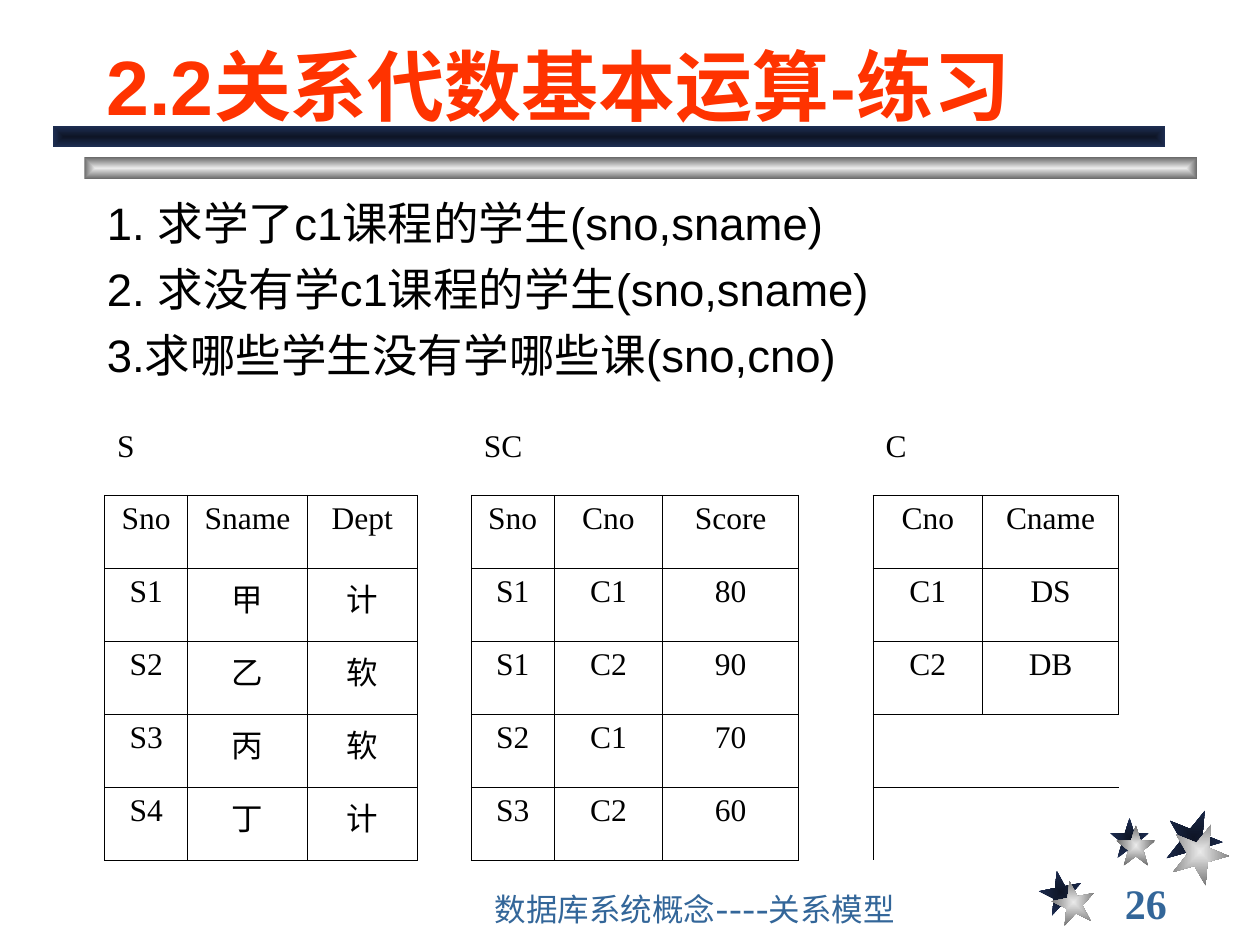
from lxml import etree
from pptx import Presentation
from pptx import util as u
from pptx.dml.color import RGBColor
from pptx.enum import shapes, text
from pptx.oxml import ns

NAVY = ("0E1526", "1E2E53")
SILVER = ("EAEAEA", "6C6C6C")
STARS = [(8.25, 6.91, 0.34, 0.34, 349), (8.81, 6.49, 0.31, 0.32, 0), (9.25, 6.42, 0.45, 0.46, 22)]
SHADED_STARS = [(8.35, 6.99, 0.34, 0.34, 349), (8.86, 6.55, 0.31, 0.32, 0), (9.3, 6.53, 0.45, 0.46, 22)]
COLUMNS = [0.66, 0.95, 0.87, 0.43, 0.66, 0.86, 1.08, 0.59, 0.87, 1.08]
ROWS = [
    ["S", "", "", "", "SC", "", "", "", "C", ""],
    ["Sno", "Sname", "Dept", "", "Sno", "Cno", "Score", "", "Cno", "Cname"],
    ["S1", "甲", "计", "", "S1", "C1", "80", "", "C1", "DS"],
    ["S2", "乙", "软", "", "S1", "C2", "90", "", "C2", "DB"],
    ["S3", "丙", "软", "", "S2", "C1", "70", "", "", ""],
    ["S4", "丁", "计", "", "S3", "C2", "60", "", "", ""],
]
SIDES = {"lnL": (0, -1), "lnR": (0, 1), "lnT": (-1, 0), "lnB": (1, 0)}
NO_STYLE = "{2D5ABB26-0587-4C30-8999-92F81FD0307C}"


def rgb(value):
    """Turn a hex string into a colour."""
    return RGBColor.from_string(value)


def add_gradient_shape(s, kind, box, colors, rotation=0):
    """Add a borderless shape shaded from its centre outwards."""
    sp = s.shapes.add_shape(kind, *map(u.Inches, box))
    sp.rotation = rotation
    sp.shadow.inherit = False
    sp.line.fill.background()
    sp.fill.gradient()
    for stop, color in zip(sp.fill.gradient_stops, colors):
        stop.color.rgb = rgb(color)
    lin = sp.element.spPr.find(".//" + ns.qn("a:lin"))
    grad = lin.getparent()
    grad.remove(lin)
    shade = etree.SubElement(grad, ns.qn("a:path"), path="rect")
    etree.SubElement(shade, ns.qn("a:fillToRect"), l="50000", t="50000", r="50000", b="50000")


def format_font(p, size, font, color, bold=False):
    """Format every run of a paragraph."""
    for r in p.runs:
        r.font.size = u.Pt(size)
        r.font.name = font
        r.font.bold = bold
        r.font.color.rgb = rgb(color)


def hang(p):
    """Give a paragraph a hanging indent."""
    pPr = p._p.get_or_add_pPr()
    pPr.set("marL", str(u.Inches(0.38)))
    pPr.set("indent", str(-u.Inches(0.38)))


def add_text(s, box, content, size, font, color, anchor, bold=False, wrap=True):
    """Add a text box and return its paragraphs."""
    tf = s.shapes.add_textbox(*map(u.Inches, box)).text_frame
    tf.word_wrap = wrap
    tf.vertical_anchor = anchor
    tf.text = content
    for p in tf.paragraphs:
        format_font(p, size, font, color, bold)
    return tf.paragraphs


def add_border(cell, side):
    """Draw a thin black line on one side of a cell."""
    ln = etree.SubElement(cell._tc.get_or_add_tcPr(), ns.qn("a:" + side), w=str(u.Pt(0.45)))
    fill = etree.SubElement(ln, ns.qn("a:solidFill"))
    etree.SubElement(fill, ns.qn("a:srgbClr"), val="000000")


def is_boxed(row, col):
    """Tell whether a grid position holds a bordered entry."""
    return 0 < row < len(ROWS) and 0 <= col < len(COLUMNS) and bool(ROWS[row][col])


def add_relations(s):
    """Add the three relations as one table with gap columns."""
    frame = s.shapes.add_table(len(ROWS), len(COLUMNS), *map(u.Inches, (0.83, 3.36, 8.05, 3.47)))
    table = frame.table
    table.first_row = table.horz_banding = False
    table._tbl.tblPr.find(ns.qn("a:tableStyleId")).text = NO_STYLE
    for column, width in zip(table.columns, COLUMNS):
        column.width = u.Inches(width)
    for i, row in enumerate(ROWS):
        table.rows[i].height = u.Inches(0.58 if i else 0.57)
        for j, value in enumerate(row):
            cell = table.cell(i, j)
            for side, (di, dj) in SIDES.items():
                if is_boxed(i, j) or is_boxed(i + di, j + dj):
                    add_border(cell, side)
            cell.fill.background()
            if value:
                cell.text = value
                p = cell.text_frame.paragraphs[0]
                hang(p)
                p.alignment = text.PP_ALIGN.CENTER if i else text.PP_ALIGN.LEFT
                format_font(p, 18, "Times New Roman", "000000")


def main():
    """Build the slide and save it."""
    prs = Presentation()
    prs.slide_width, prs.slide_height = u.Inches(10), u.Inches(7.5)
    s = prs.slides.add_slide(prs.slide_layouts[6])
    for stars, colors in ((STARS, NAVY), (SHADED_STARS, SILVER)):
        for *box, rotation in stars:
            add_gradient_shape(s, shapes.MSO_SHAPE.STAR_5_POINT, box, colors, rotation)
    for box, colors in (((0.67, 1.25, 8.83, 0.17), SILVER), ((0.42, 1, 8.83, 0.17), NAVY)):
        add_gradient_shape(s, shapes.MSO_SHAPE.RECTANGLE, box, colors)
    anchors = text.MSO_ANCHOR
    add_text(s, (8.83, 7, 1.08, 0.33), "26", 24, "Times New Roman", "336699",
             anchors.MIDDLE, bold=True, wrap=False)
    add_text(s, (3.83, 7.08, 4.08, 0.33), "数据库系统概念----关系模型", 18, "Cabin", "336699", anchors.BOTTOM)
    add_text(s, (0.75, 0.17, 8.5, 0.92), "2.2关系代数基本运算-练习", 44, "Arial", "FF3300",
             anchors.BOTTOM, bold=True)
    questions = ["1. 求学了c1课程的学生(sno,sname)", "2. 求没有学c1课程的学生(sno,sname)",
                 "3.求哪些学生没有学哪些课(sno,cno)"]
    paragraphs = add_text(s, (0.75, 1.5, 8.42, 1.94), "\n".join(questions), 26, "Arial", "000000", anchors.TOP)
    for i, p in enumerate(paragraphs):
        hang(p)
        p.space_before = u.Pt(6.5 if i else 0)
    add_relations(s)
    prs.save("out.pptx")


if __name__ == "__main__":
    main()
